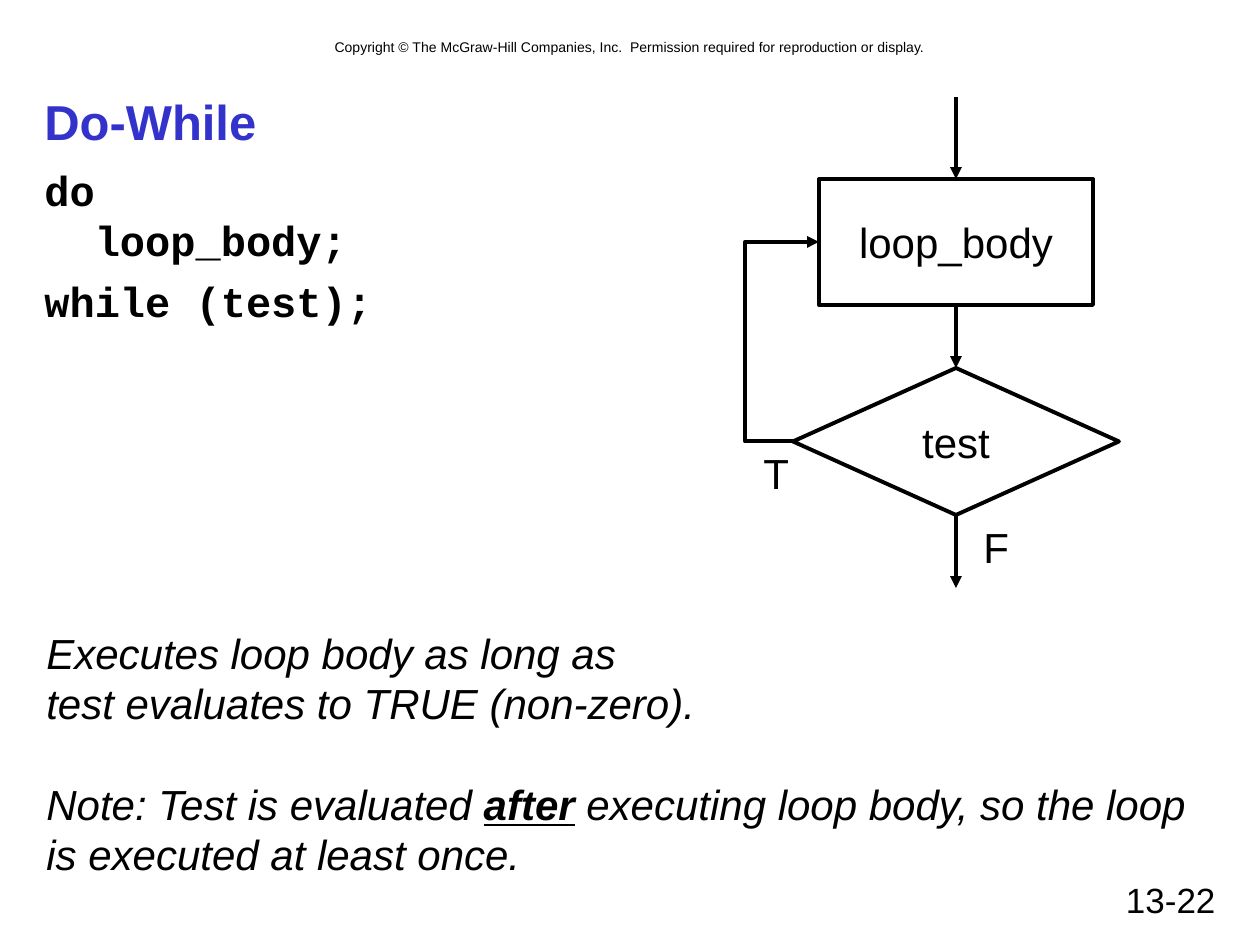
import pptx
import pptx.util
import pptx.dml.color
import pptx.enum.shapes
import pptx.enum.text
import pptx.oxml
import pptx.oxml.ns

COLORS = {"ink": "000000", "title": "3333CC"}
PX = 914400 / 126
LINE_WIDTH = 2.25
LINE_PITCH = 28.8
ALIGN = pptx.enum.text.PP_ALIGN
ANCHOR = pptx.enum.text.MSO_ANCHOR
SHAPE = pptx.enum.shapes.MSO_SHAPE
CONNECTOR = pptx.enum.shapes.MSO_CONNECTOR
TOP, LEFT, BOTTOM = 0, 1, 2


def px(*values):
    return [pptx.util.Emu(round(v * PX)) for v in values]


def rgb(name):
    return pptx.dml.color.RGBColor.from_string(COLORS[name])


def write(sp, paragraphs, size=24, font="Arial", color="ink", bold=False, italic=False,
          align=ALIGN.LEFT, anchor=ANCHOR.TOP, wrap=True, pitch=None, gaps=()):
    tf = sp.text_frame
    tf.word_wrap = wrap
    tf.vertical_anchor = anchor
    for i, runs in enumerate(paragraphs):
        p = tf.paragraphs[0] if i == 0 else tf.add_paragraph()
        p.alignment = align
        if pitch:
            p.line_spacing = pptx.util.Pt(pitch)
        if i and gaps:
            p.space_before = pptx.util.Pt(gaps[i - 1])
        for text, strong in runs:
            for j, line in enumerate(text.split("\n")):
                if j:
                    p.add_line_break()
                r = p.add_run()
                r.text = line
                r.font.size = pptx.util.Pt(size)
                r.font.name = font
                r.font.color.rgb = rgb(color)
                r.font.bold = bold or strong
                r.font.italic = italic
                r.font.underline = strong


def add_text(s, box, paragraphs, **fmt):
    sp = s.shapes.add_textbox(*px(*box))
    write(sp, paragraphs, **fmt)
    return sp


def add_node(s, kind, box, label):
    sp = s.shapes.add_shape(kind, *px(*box))
    sp.shadow.inherit = False
    sp.fill.background()
    sp.line.color.rgb = rgb("ink")
    sp.line.width = pptx.util.Pt(LINE_WIDTH)
    write(sp, [[(label, False)]], align=ALIGN.CENTER, anchor=ANCHOR.MIDDLE, wrap=False)
    return sp


def add_arrow(s, start, end, kind=CONNECTOR.STRAIGHT, begin=None, finish=None, bend=None):
    c = s.shapes.add_connector(kind, *px(*start, *end))
    if begin:
        c.begin_connect(*begin)
    if finish:
        c.end_connect(*finish)
    c.line.color.rgb = rgb("ink")
    c.line.width = pptx.util.Pt(LINE_WIDTH)
    ns = pptx.oxml.ns.nsdecls("a")
    c.line._get_or_add_ln().append(pptx.oxml.parse_xml(f'<a:tailEnd {ns} type="triangle"/>'))
    sp_pr = c._element.spPr
    sp_pr.append(pptx.oxml.parse_xml(f"<a:effectLst {ns}/>"))
    if bend is not None:
        guides = sp_pr.find(pptx.oxml.ns.qn("a:prstGeom")).get_or_add_avLst()
        guides.append(pptx.oxml.parse_xml(
            f'<a:gd {ns} name="adj1" fmla="val {round(bend * 100000)}"/>'))
    return c


def add_flowchart(s):
    mid = 956
    body = add_node(s, SHAPE.RECTANGLE, (819, 179, 274, 126), "loop_body")
    test = add_node(s, SHAPE.DIAMOND, (793, 368, 326, 147), "test")
    add_arrow(s, (mid, 97), (mid, 179), finish=(body, TOP))
    add_arrow(s, (mid, 305), (mid, 368), begin=(body, BOTTOM), finish=(test, TOP))
    add_arrow(s, (mid, 515), (mid, 588), begin=(test, BOTTOM))
    add_arrow(s, (793, 441), (819, 242), CONNECTOR.ELBOW, (test, LEFT), (body, LEFT),
              bend=(745 - 793) / (819 - 793))
    for label, x, y in (("T", 751, 441), ("F", 971, 515)):
        add_text(s, (x, y, 50, 63), [[(label, False)]], align=ALIGN.CENTER, wrap=False,
                 pitch=LINE_PITCH)


def main():
    prs = pptx.Presentation()
    prs.slide_width, prs.slide_height = px(1260, 945)
    s = prs.slides.add_slide(prs.slide_layouts[6])

    add_text(s, (84, 32, 1092, 30), [[(
        "Copyright © The McGraw-Hill Companies, Inc.  "
        "Permission required for reproduction or display.", False)]],
        size=8, align=ALIGN.CENTER)
    add_text(s, (903, 872, 325, 53), [[("13-22", False)]], size=20, align=ALIGN.RIGHT)
    add_text(s, (32, 84, 1197, 73), [[("Do-While", False)]], size=28, color="title",
             bold=True, anchor=ANCHOR.MIDDLE)
    add_text(s, (32, 158, 1197, 683),
             [[("do\n  loop_body;", False)], [("while (test);", False)]],
             font="Courier New", bold=True, pitch=LINE_PITCH, gaps=(6,))
    add_flowchart(s)
    add_text(s, (34, 621, 1172, 265), [
        [("Executes loop body as long as\ntest evaluates to TRUE (non-zero).", False)],
        [("Note: Test is evaluated ", False), ("after", True),
         (" executing loop body, so the loop", False)],
        [("is executed at least once.", False)],
    ], italic=True, wrap=False, pitch=LINE_PITCH, gaps=(LINE_PITCH, 0))

    prs.save("out.pptx")


if __name__ == "__main__":
    main()
